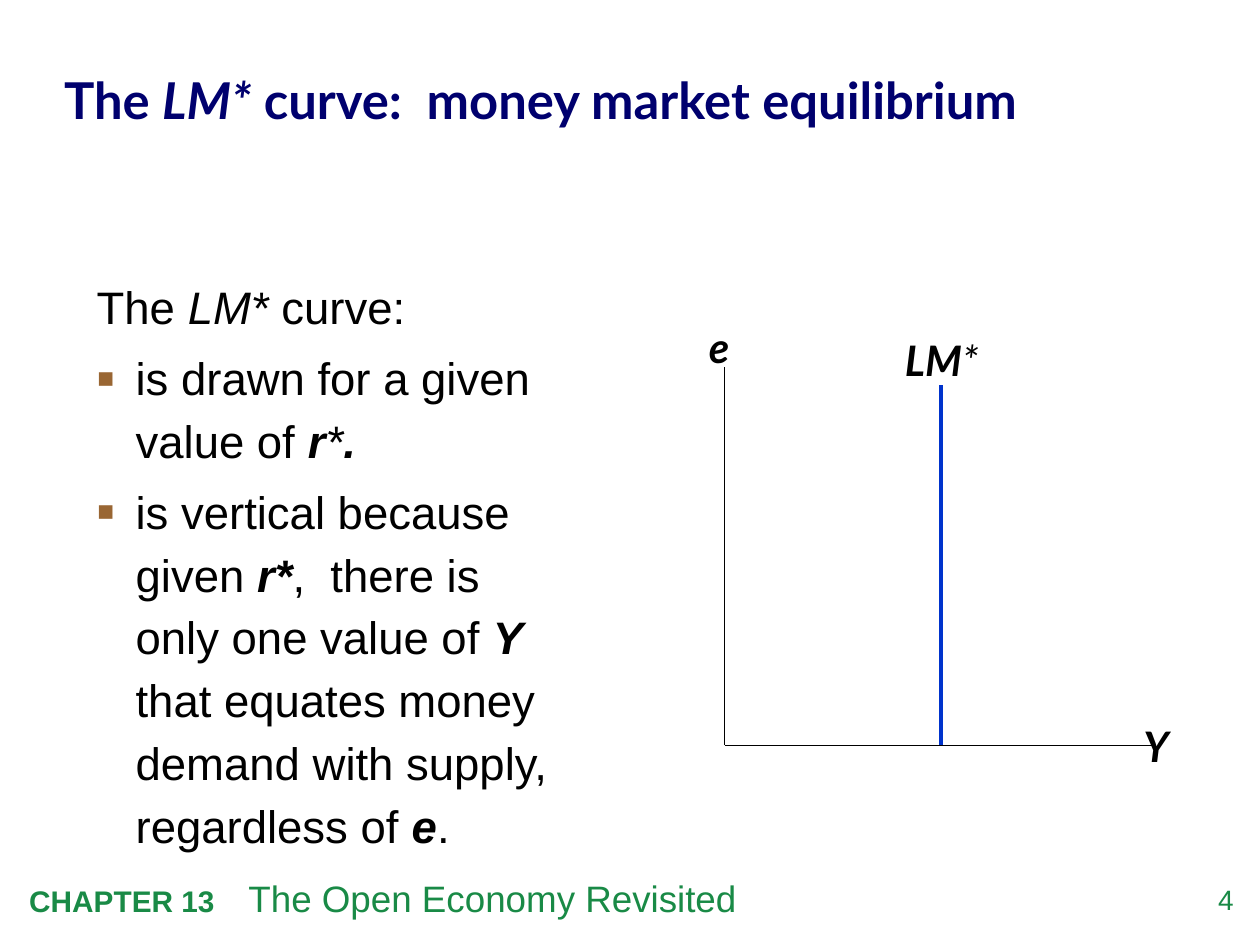
from dataclasses import dataclass

from lxml.etree import SubElement
from pptx import Presentation
from pptx.dml.color import RGBColor
from pptx.enum.shapes import MSO_CONNECTOR
from pptx.enum.text import MSO_ANCHOR, MSO_AUTO_SIZE, PP_ALIGN
from pptx.oxml.ns import qn
from pptx.util import Inches, Pt

# The slide is a grid of 120 columns by 90 rows
COLUMNS, ROWS = 120, 90
SLIDE_WIDTH, SLIDE_HEIGHT = Inches(10), Inches(7.5)


@dataclass(frozen=True)
class Style:
    size: float
    font: str
    color: str


@dataclass(frozen=True)
class Theme:
    title = Style(29, "Lato", "00006E")
    body = Style(26, "Arial", "000000")
    label = Style(24, "Lato", "000000")
    chapter = Style(17, "Arial", "198A46")
    book = Style(21, "Arial", "198A46")
    number = Style(16, "Arial", "198A46")
    bullet = "996633"
    axis = ("000000", 1)
    curve = ("0033CC", 2.25)


@dataclass(frozen=True)
class Box:
    left: float
    top: float
    width: float
    height: float

    def inside(self, column, row, width, height):
        return Box(self.left + column, self.top + row, width, height)


def across(columns):
    return round(SLIDE_WIDTH * columns / COLUMNS)


def down(rows):
    return round(SLIDE_HEIGHT * rows / ROWS)


def set_all(target, values):
    for name, value in values.items():
        setattr(target, name, value)


def place(shape, box):
    set_all(shape, {"left": across(box.left), "top": down(box.top),
                    "width": across(box.width), "height": down(box.height)})


def format_frame(frame, margins=None, anchor=MSO_ANCHOR.TOP):
    set_all(frame, {"word_wrap": True, "auto_size": MSO_AUTO_SIZE.NONE,
                    "vertical_anchor": anchor})
    if margins is not None:
        sides = ("left", "top", "right", "bottom")
        set_all(frame, {f"margin_{side}": margins for side in sides})


def add_runs(paragraph, style, *parts):
    """Each part is (text, marks); marks hold b for bold and i for italic."""
    for text, marks in parts:
        for index, line in enumerate(text.split("\n")):
            if index:
                paragraph.add_line_break()
                SubElement(paragraph._p[-1], qn("a:rPr"), sz=str(style.size * 100))
            if line:
                run = paragraph.add_run()
                run.text = line
                set_all(run.font, {"size": Pt(style.size), "name": style.font,
                                   "bold": "b" in marks, "italic": "i" in marks})
                run.font.color.rgb = RGBColor.from_string(style.color)


def add_text(slide, box, style, *parts, align=PP_ALIGN.LEFT, margins=None):
    shape = slide.shapes.add_textbox(0, 0, 0, 0)
    place(shape, box)
    format_frame(shape.text_frame, margins)
    paragraph = shape.text_frame.paragraphs[0]
    paragraph.alignment = align
    add_runs(paragraph, style, *parts)
    return paragraph


def add_line(slide, start, end, line_style):
    color, width = line_style
    line = slide.shapes.add_connector(
        MSO_CONNECTOR.STRAIGHT, across(start[0]), down(start[1]),
        across(end[0]), down(end[1]))
    line.line.color.rgb = RGBColor.from_string(color)
    line.line.width = Pt(width)
    SubElement(line._element.spPr, qn("a:effectLst"))


def add_bullet(properties, color):
    fill = SubElement(properties, qn("a:buClr"))
    SubElement(fill, qn("a:srgbClr"), val=color)
    SubElement(properties, qn("a:buSzPct"), val="120000")
    SubElement(properties, qn("a:buFont"), typeface="Arial")
    SubElement(properties, qn("a:buChar"), char="▪")


def build_title(slide, box, theme):
    title = slide.shapes.title
    place(title, box)
    format_frame(title.text_frame, 0, MSO_ANCHOR.MIDDLE)
    paragraph = title.text_frame.paragraphs[0]
    set_all(paragraph, {"alignment": PP_ALIGN.LEFT, "line_spacing": 1.05})
    add_runs(paragraph, theme.title, ("The ", "b"), ("LM*", "bi"),
             (" curve:  money market equilibrium", "b"))


def build_body(slide, box, theme):
    body = slide.placeholders[1]
    place(body, box)
    frame = body.text_frame
    format_frame(frame)
    items = [
        [("The ", ""), ("LM*", "i"), (" curve:", "")],
        [("is drawn for a given\nvalue of ", ""), ("r", "bi"), ("*", "i"), (".", "bi")],
        [("is vertical because\ngiven ", ""), ("r*", "bi"),
         (",  there is\nonly one value of ", ""), ("Y\n", "bi"),
         ("that equates money demand with supply,\nregardless of ", ""),
         ("e", "bi"), (".", "")],
    ]
    for index, parts in enumerate(items):
        paragraph = frame.add_paragraph() if index else frame.paragraphs[0]
        properties = paragraph._p.get_or_add_pPr()
        properties.set("marL", str(Inches(0.31)))
        properties.set("indent", str(-Inches(0.31)))
        if index:
            add_bullet(properties, theme.bullet)
        else:
            SubElement(properties, qn("a:buNone"))
        set_all(paragraph, {"line_spacing": 1.15,
                            "space_before": Pt(4.7 if index else 0)})
        add_runs(paragraph, theme.body, *parts)


def build_graph(slide, box, theme):
    # Axes meet at the origin
    origin = (box.left + 3, box.top + 41)
    add_line(slide, (origin[0], box.top + 5), origin, theme.axis)
    add_line(slide, origin, (box.left + 44, origin[1]), theme.axis)
    for name, label_box in (("Y", box.inside(40.6, 38, 7, 6)),
                            ("e", box.inside(0, 0, 5, 6))):
        add_text(slide, label_box, theme.label, (name, "bi"), align=PP_ALIGN.CENTER)

    # Vertical curve and its label
    curve = box.left + 23.6
    add_line(slide, (curve, box.top + 6.7), (curve, origin[1]), theme.curve)
    add_text(slide, box.inside(19, 1.3, 13, 6), theme.label, ("LM", "bi"), ("*", "i"))


def build_footer(slide, box, theme):
    # Chapter, then the book section at a tab stop
    paragraph = add_text(slide, box.inside(0, 0, 98.2, 5.4), theme.chapter)
    tabs = SubElement(paragraph._p.get_or_add_pPr(), qn("a:tabLst"))
    SubElement(tabs, qn("a:tab"), pos=str(Inches(1.74)), algn="l")
    add_runs(paragraph, theme.chapter, ("CHAPTER 13\t", "b"))
    add_runs(paragraph, theme.book, ("The Open Economy Revisited", ""))

    # Slide number
    add_text(slide, box.inside(109.3, 1.3, 6.6, 3.8), theme.number, ("4", ""),
             align=PP_ALIGN.RIGHT, margins=0)


def main():
    presentation = Presentation()
    set_all(presentation, {"slide_width": SLIDE_WIDTH, "slide_height": SLIDE_HEIGHT})
    slide = presentation.slides.add_slide(presentation.slide_layouts[1])
    theme = Theme()
    build_footer(slide, Box(1.6, 82.8, 116, 5.4), theme)
    build_title(slide, Box(6.1, 3.1, 108.2, 12.4), theme)
    build_body(slide, Box(8, 25.2, 50.4, 57.6), theme)
    build_graph(slide, Box(66, 30, 48, 44), theme)
    presentation.save("out.pptx")


if __name__ == "__main__":
    main()
